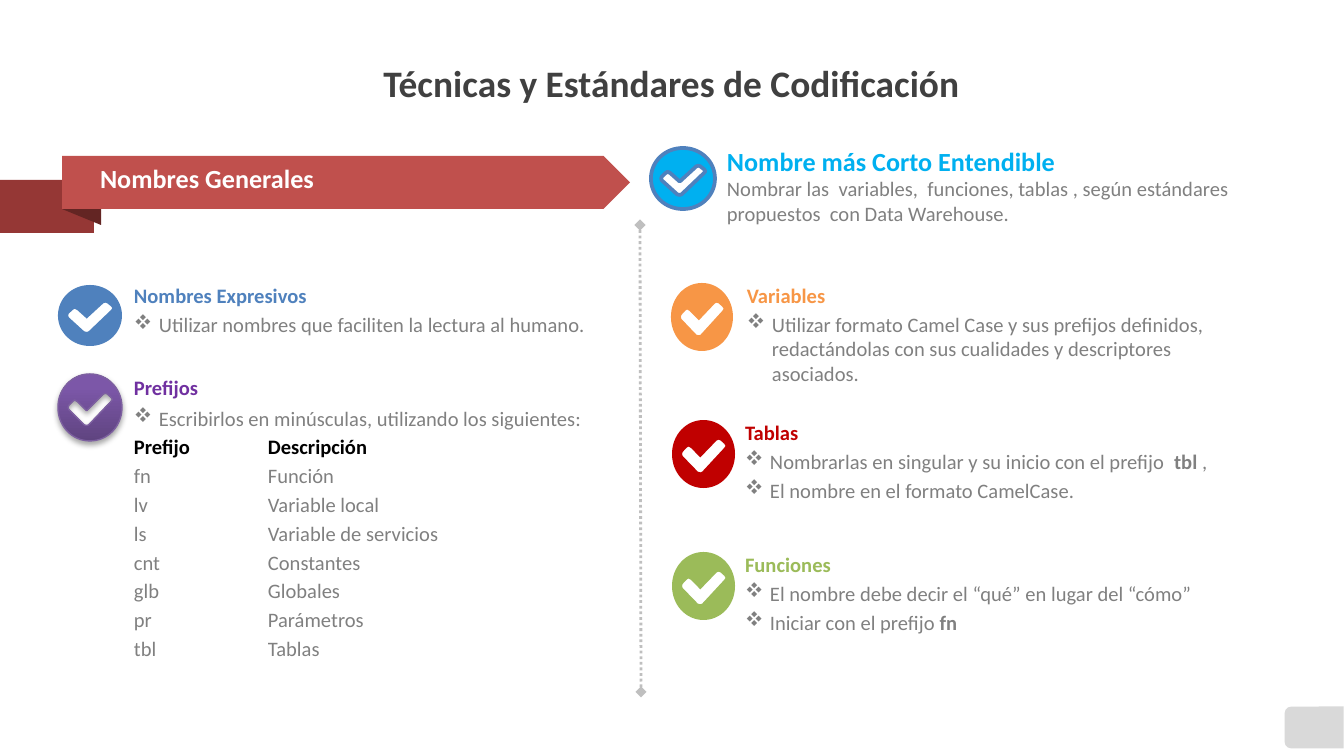
from lxml.etree import SubElement
from pptx import Presentation
from pptx.dml.color import RGBColor
from pptx.enum.dml import MSO_LINE
from pptx.enum.shapes import MSO_CONNECTOR, MSO_SHAPE as SHAPE
from pptx.enum.text import MSO_ANCHOR, PP_ALIGN
from pptx.oxml.ns import qn
from pptx.util import Pt

PX = 914400 / 134.4
FONT = "Calibri"
BLACK = RGBColor(0x00, 0x00, 0x00)
WHITE = RGBColor(0xFF, 0xFF, 0xFF)
DARK = RGBColor(0x40, 0x40, 0x40)
GRAY = RGBColor(0x80, 0x80, 0x80)
SILVER = RGBColor(0xBF, 0xBF, 0xBF)
LIGHT = RGBColor(0xD9, 0xD9, 0xD9)
BLUE = RGBColor(0x4F, 0x81, 0xBD)
CYAN = RGBColor(0x00, 0xB0, 0xF0)
PURPLE = RGBColor(0x70, 0x30, 0xA0)
PURPLE_DARK = RGBColor(0x5F, 0x44, 0x80)
PURPLE_LIGHT = RGBColor(0x7C, 0x57, 0xA8)
PURPLE_LINE = RGBColor(0x7D, 0x60, 0xA0)
ORANGE = RGBColor(0xF7, 0x96, 0x46)
RED = RGBColor(0xC0, 0x00, 0x00)
GREEN = RGBColor(0x9B, 0xBB, 0x59)
BRICK = RGBColor(0xC0, 0x50, 0x4D)
BRICK_DARK = RGBColor(0x95, 0x37, 0x35)
BRICK_FOLD = RGBColor(0x63, 0x25, 0x23)

DISC = [(50, 100), (22, 100), (0, 78), (0, 50), (0, 22), (22, 0), (50, 0),
        (78, 0), (100, 22), (100, 50), (100, 78), (78, 100), (50, 100)]
CHECK = [(83, 35), (77, 30), (74, 29), (71, 30), (45, 55), (30, 41), (26, 39), (23, 41),
         (17, 47), (16, 50), (17, 53), (41, 76), (45, 77), (48, 76), (83, 41), (85, 38)]
PREFIXES = [("fn", "Función"), ("lv", "Variable local"), ("ls", "Variable de servicios"),
            ("cnt", "Constantes"), ("glb", "Globales"), ("pr", "Parámetros"), ("tbl", "Tablas")]


def px(n):
    return round(n * PX)


def write(p, text, size=11, color=GRAY, bold=False):
    r = p.add_run()
    r.text = text
    r.font.name, r.font.size, r.font.bold = FONT, Pt(size), bold
    r.font.color.rgb = color
    return p


def set_frame(tf, wrap=True):
    tf.margin_left = tf.margin_top = tf.margin_right = tf.margin_bottom = 0
    tf.word_wrap = wrap


def add_text(s, box, heading, size=11, color=GRAY, wrap=True):
    tf = s.shapes.add_textbox(*map(px, box)).text_frame
    set_frame(tf, wrap)
    write(tf.paragraphs[0], heading, size, color, True)
    return tf


def add_line(tf, text, **fmt):
    p = tf.add_paragraph()
    p.space_before = Pt(2.2)
    return write(p, text, **fmt)


def add_bullet(tf, text):
    pPr = add_line(tf, text)._p.get_or_add_pPr()
    pPr.set("marL", str(px(25)))
    pPr.set("indent", str(-px(25)))
    SubElement(pPr, qn("a:buFont"), typeface="Wingdings")
    SubElement(pPr, qn("a:buChar"), char="v")


def add_row(tf, cells, **fmt):
    pPr = add_line(tf, "\t".join(cells), **fmt)._p.get_or_add_pPr()
    tabs = SubElement(pPr, qn("a:tabLst"))
    SubElement(tabs, qn("a:tab"), pos=str(px(134)), algn="l")


def add_block(s, box, heading, color, bullets):
    tf = add_text(s, box, heading, color=color)
    for text in bullets:
        add_bullet(tf, text)
    return tf


def add_shape(s, kind, box, color, rotation=0):
    sp = s.shapes.add_shape(kind, *map(px, box))
    sp.shadow.inherit = False
    sp.fill.solid()
    sp.fill.fore_color.rgb = color
    sp.line.fill.background()
    sp.rotation = rotation
    return sp


def round_disc(sp):
    lines = list(sp._element.iter(qn("a:lnTo")))[:len(DISC) - 1]
    for i in range(0, len(lines), 3):
        curve = lines[0].makeelement(qn("a:cubicBezTo"))
        lines[i].addprevious(curve)
        for line in lines[i:i + 3]:
            curve.append(line[0])
            line.getparent().remove(line)


def add_badge(s, box, color, line=None, width=1):
    x, y, w, h = box
    disc, check = ([(px(x + w * u / 100), px(y + h * v / 100)) for u, v in outline]
                   for outline in (DISC, CHECK))
    fb = s.shapes.build_freeform(*disc[0])
    fb.add_line_segments(disc[1:])
    fb.move_to(*check[0])
    fb.add_line_segments(check[1:])
    sp = fb.convert_to_shape()
    round_disc(sp)
    sp.shadow.inherit = False
    sp.fill.solid()
    sp.fill.fore_color.rgb = color
    if line is None:
        sp.line.fill.background()
    else:
        sp.line.color.rgb = line
        sp.line.width = Pt(width)
    return sp


def add_depth(sp):
    sp.fill.gradient()
    sp.fill.gradient_angle = 90
    low, high = sp.fill.gradient_stops
    low.color.rgb, low.position = PURPLE_DARK, 0
    high.color.rgb, high.position = PURPLE_LIGHT, 0.8
    effects = sp._element.spPr.find(qn("a:effectLst"))
    shadow = SubElement(effects, qn("a:outerShdw"), blurRad=str(Pt(3.1)), dist=str(Pt(1.8)),
                        dir="5400000", rotWithShape="0")
    tone = SubElement(shadow, qn("a:srgbClr"), val="000000")
    SubElement(tone, qn("a:alpha"), val="35000")


def add_divider(s, start, end):
    c = s.shapes.add_connector(MSO_CONNECTOR.STRAIGHT, *map(px, start + end))
    c.line.color.rgb = SILVER
    c.line.width = Pt(1.5)
    c.line.dash_style = MSO_LINE.ROUND_DOT
    ln = c.line._get_or_add_ln()
    for tip in ("a:headEnd", "a:tailEnd"):
        SubElement(ln, qn(tip), type="diamond")
    SubElement(c._element.spPr, qn("a:effectLst"))


def add_title(s, box, text):
    sp = s.shapes.title
    sp.left, sp.top, sp.width, sp.height = map(px, box)
    tf = sp.text_frame
    set_frame(tf, False)
    tf.vertical_anchor = MSO_ANCHOR.MIDDLE
    p = write(tf.paragraphs[0], text, 20, DARK, True)
    p.alignment = PP_ALIGN.CENTER


def add_banner(s):
    add_shape(s, SHAPE.RECTANGLE, (0, 180, 94, 53), BRICK_DARK)
    add_shape(s, SHAPE.PENTAGON, (62, 156, 568, 53), BRICK)
    add_shape(s, SHAPE.RIGHT_TRIANGLE, (62, 209, 39, 16), BRICK_FOLD, 180)
    add_text(s, (100, 162, 215, 32), "Nombres Generales", 14, WHITE, False)


def add_left_column(s):
    add_badge(s, (58, 285, 64, 61), BLUE)
    add_block(s, (134, 283, 474, 55), "Nombres Expresivos", BLUE,
              ["Utilizar nombres que faciliten la lectura al humano."])
    add_depth(add_badge(s, (58, 374, 64, 67), PURPLE_LIGHT, PURPLE_LINE, 0.75))
    tf = add_block(s, (134, 375, 474, 296), "Prefijos", PURPLE,
                   ["Escribirlos en minúsculas, utilizando los siguientes:"])
    tf.paragraphs[0].space_after = Pt(1)
    add_row(tf, ("Prefijo", "Descripción"), color=BLACK, bold=True)
    for cells in PREFIXES:
        add_row(tf, cells)


def add_right_column(s):
    add_badge(s, (651, 148, 64, 61), CYAN, BLUE, 2)
    tf = add_text(s, (727, 145, 581, 82), "Nombre más Corto Entendible", 14, CYAN)
    p = tf.paragraphs[0]
    p.add_line_break()
    write(p, "Nombrar las  variables,  funciones, tablas , según estándares  "
             "propuestos  con Data Warehouse.")
    add_badge(s, (671, 283, 62, 68), ORANGE)
    add_block(s, (747, 283, 473, 105), "Variables", ORANGE,
              ["Utilizar formato Camel Case y sus prefijos definidos, "
               "redactándolas con sus cualidades y descriptores asociados."])
    add_badge(s, (672, 420, 63, 68), RED)
    tf = add_block(s, (745, 420, 562, 85), "Tablas", RED,
                   ["Nombrarlas en singular y su inicio con el prefijo  ",
                    "El nombre en el formato CamelCase."])
    write(tf.paragraphs[1], "tbl", bold=True)
    write(tf.paragraphs[1], " ,")
    add_badge(s, (672, 552, 63, 68), GREEN)
    tf = add_block(s, (745, 552, 562, 85), "Funciones", GREEN,
                   ["El nombre debe decir el “qué” en lugar del “cómo”",
                    "Iniciar con el prefijo "])
    write(tf.paragraphs[2], "fn", bold=True)


def main():
    prs = Presentation()
    prs.slide_width, prs.slide_height = px(1344), px(756)
    s = prs.slides.add_slide(prs.slide_layouts[5])
    add_shape(s, SHAPE.ROUND_2_SAME_RECTANGLE, (1293, 698, 42, 59), LIGHT, 270)
    add_title(s, (257, 57, 829, 52), "Técnicas y Estándares de Codificación")
    add_left_column(s)
    add_divider(s, (641, 692), (640, 225))
    add_banner(s)
    add_right_column(s)
    prs.save("out.pptx")


if __name__ == "__main__":
    main()
